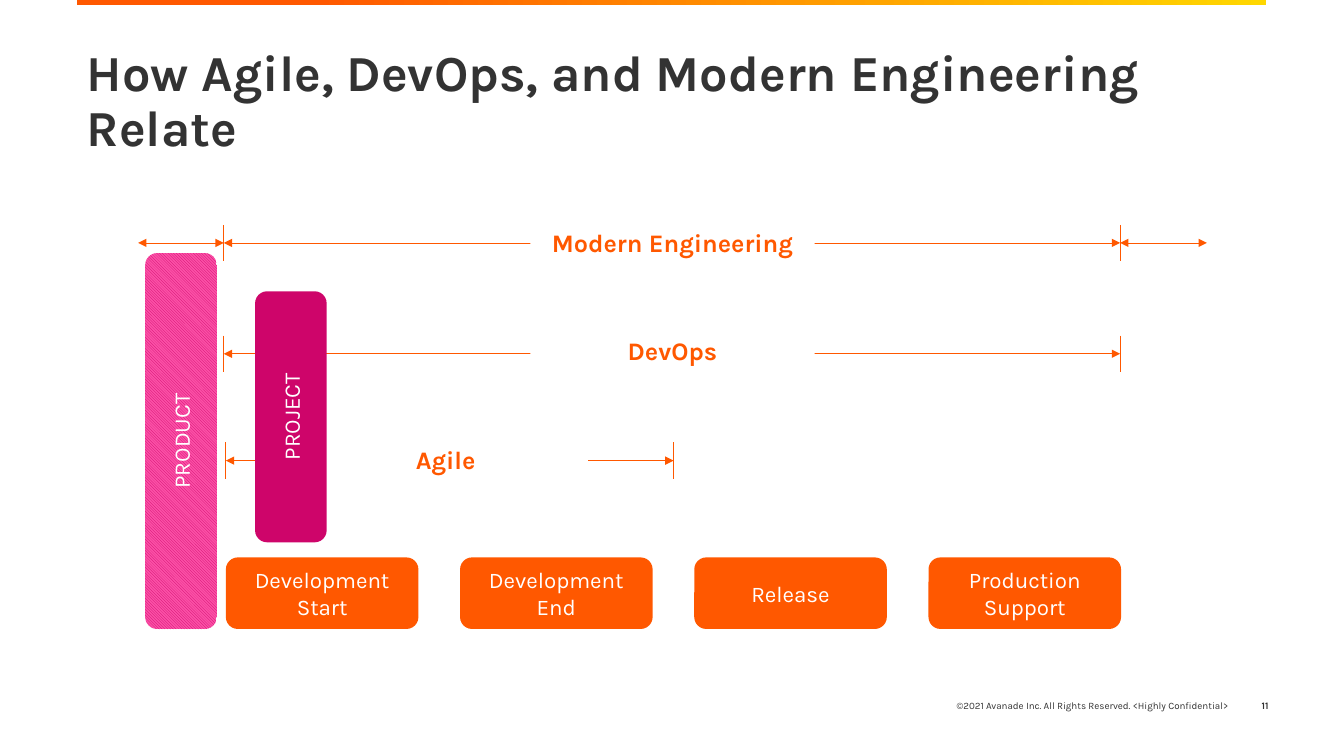
"""Builds the slide that relates Agile, DevOps and modern engineering."""
from lxml.etree import SubElement
from pptx import Presentation
from pptx.dml.color import RGBColor
from pptx.enum.dml import MSO_PATTERN
from pptx.enum.shapes import MSO_CONNECTOR, MSO_SHAPE
from pptx.enum.text import MSO_ANCHOR, PP_ALIGN
from pptx.oxml.ns import qn
from pptx.util import Inches, Pt

ORANGE, YELLOW, DARK, WHITE = "FF5800", "FFD700", "333333", "FFFFFF"
MAGENTA, PINK = "CE056A", "FB50A6"
TITLE_ONLY = 5
START, END = 2.22, 11.11
BAR_HEIGHT = 0.71


def rgb(color):
    return RGBColor.from_string(color)


def box(left, top, width, height):
    return [Inches(value) for value in (left, top, width, height)]


def write(shape, text, size, color, align, bold=False, anchor=MSO_ANCHOR.MIDDLE):
    frame = shape.text_frame
    frame.word_wrap = True
    frame.vertical_anchor = anchor
    paragraph = frame.paragraphs[0]
    paragraph.alignment = align
    run = paragraph.add_run()
    run.text = text
    run.font.name = "Karla"
    run.font.size = Pt(size)
    run.font.bold = bold
    run.font.color.rgb = rgb(color)
    return paragraph


def add_plain_shape(slide, kind, place, color):
    shape = slide.shapes.add_shape(kind, *box(*place))
    shape.shadow.inherit = False
    shape.line.fill.background()
    shape.fill.solid()
    shape.fill.fore_color.rgb = rgb(color)
    return shape


def add_top_band(slide):
    band = add_plain_shape(slide, MSO_SHAPE.RECTANGLE, (0.76, 0, 11.8, 0.05), ORANGE)
    band.fill.gradient()
    band.fill.gradient_angle = 0
    for stop, color, position in zip(band.fill.gradient_stops, (ORANGE, YELLOW), (0.2, 1)):
        stop.color.rgb = rgb(color)
        stop.position = position


def add_footer(slide, text, left, width, align, bold=False):
    footer = slide.shapes.add_textbox(*box(left, 6.8, width, 0.4))
    write(footer, text, 7, DARK, align, bold)


def set_title(slide, text):
    title = slide.shapes.title
    title.left, title.top, title.width, title.height = box(0.76, 0.43, 11.79, 1.09)
    paragraph = write(title, text, 36, DARK, PP_ALIGN.LEFT, True, MSO_ANCHOR.TOP)
    paragraph.line_spacing = 0.9


def add_bar(slide, text, place, color, rotation=0):
    bar = add_plain_shape(slide, MSO_SHAPE.ROUNDED_RECTANGLE, place, color)
    bar.rotation = rotation
    write(bar, text, 16, WHITE, PP_ALIGN.CENTER)
    return bar


def add_line(slide, start, end, arrows=False):
    ends = [Inches(value) for value in (*start, *end)]
    line = slide.shapes.add_connector(MSO_CONNECTOR.STRAIGHT, *ends)
    line.line.width = Pt(0.5)
    line.line.color.rgb = rgb(ORANGE)
    properties = line._element.spPr
    if arrows:
        for tag in ("a:headEnd", "a:tailEnd"):
            SubElement(properties.find(qn("a:ln")), qn(tag)).set("type", "triangle")
    SubElement(properties, qn("a:effectLst"))


def add_span(slide, text, left, right, middle, label_left, label_top):
    add_line(slide, (left, middle), (right, middle), arrows=True)
    for x in (left, right):
        add_line(slide, (x, middle - 0.18), (x, middle + 0.18))
    place = (label_left, label_top, 2.82, 0.4)
    label = add_plain_shape(slide, MSO_SHAPE.RECTANGLE, place, WHITE)
    write(label, text, 18, ORANGE, PP_ALIGN.CENTER, True, MSO_ANCHOR.TOP)


def main():
    presentation = Presentation()
    presentation.slide_width, presentation.slide_height = Inches(13.33), Inches(7.5)
    slide = presentation.slides.add_slide(presentation.slide_layouts[TITLE_ONLY])

    add_top_band(slide)
    copyright_line = "©2021 Avanade Inc. All Rights Reserved. <Highly Confidential>"
    add_footer(slide, copyright_line, 7.78, 4.5, PP_ALIGN.RIGHT)
    add_footer(slide, "11", 12.2, 0.48, PP_ALIGN.RIGHT, True)
    set_title(slide, "How Agile, DevOps, and Modern Engineering Relate")

    stages = ("Development Start", "Development End", "Release", "Production Support")
    for index, stage in enumerate(stages):
        add_bar(slide, stage, (2.24 + 2.323 * index, 5.53, 1.91, BAR_HEIGHT), ORANGE)

    add_span(slide, "DevOps", START, END, 3.51, 5.26, 3.28)
    add_span(slide, "Agile", 2.24, 6.68, 4.57, 3.01, 4.36)

    product = add_bar(slide, "PRODUCT", (-0.07, 4.02, 3.73, BAR_HEIGHT), PINK, 270)
    product.fill.patterned()
    product.fill.pattern = MSO_PATTERN.LIGHT_DOWNWARD_DIAGONAL
    product.fill.fore_color.rgb = rgb(MAGENTA)
    product.fill.back_color.rgb = rgb(PINK)

    add_span(slide, "Modern Engineering", START, END, 2.41, 5.26, 2.21)
    for left, right in ((1.37, START), (END, 11.97)):
        add_line(slide, (left, 2.41), (right, 2.41), arrows=True)
    add_bar(slide, "PROJECT", (1.64, 3.78, 2.49, BAR_HEIGHT), MAGENTA, 270)

    presentation.save("out.pptx")


if __name__ == "__main__":
    main()
